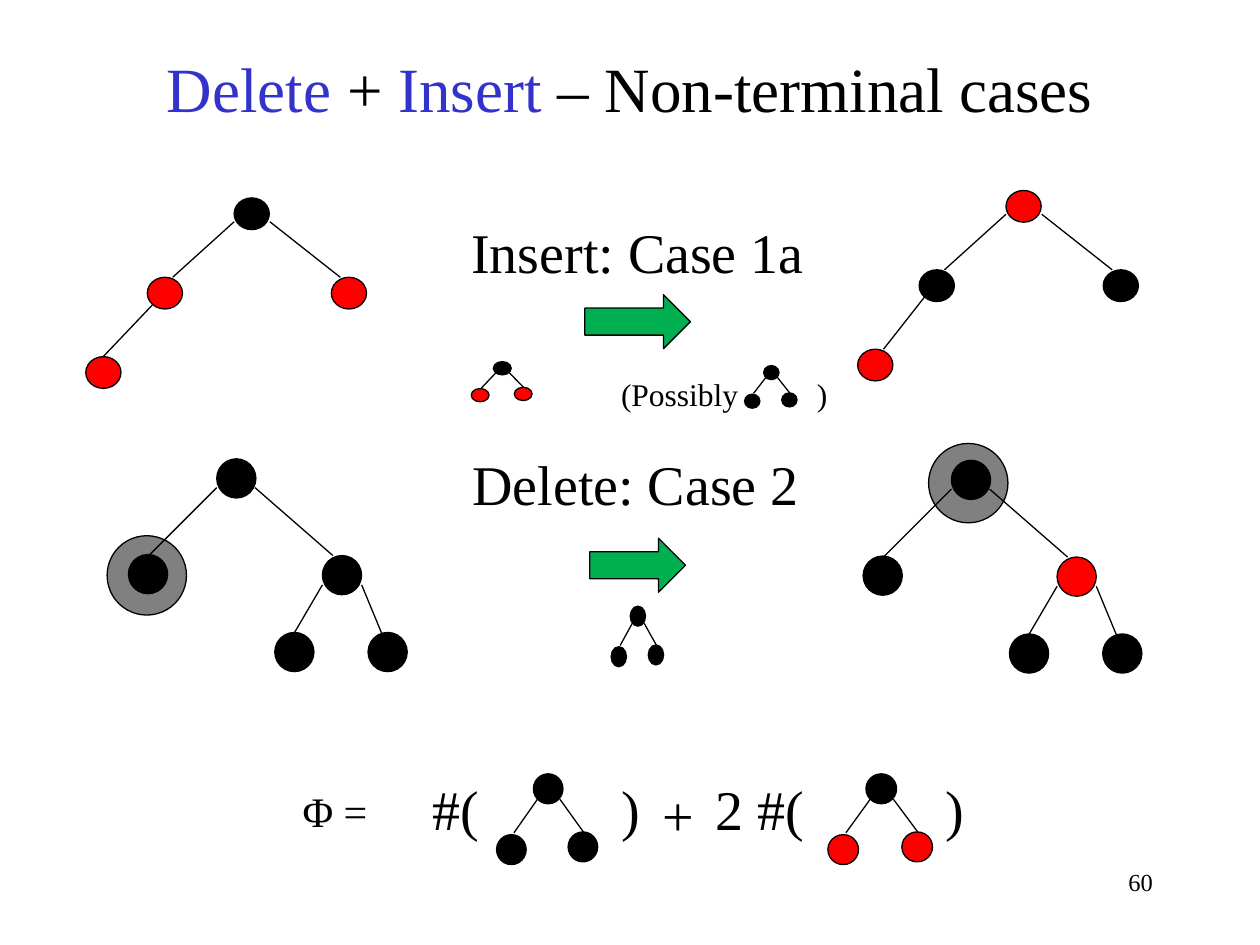
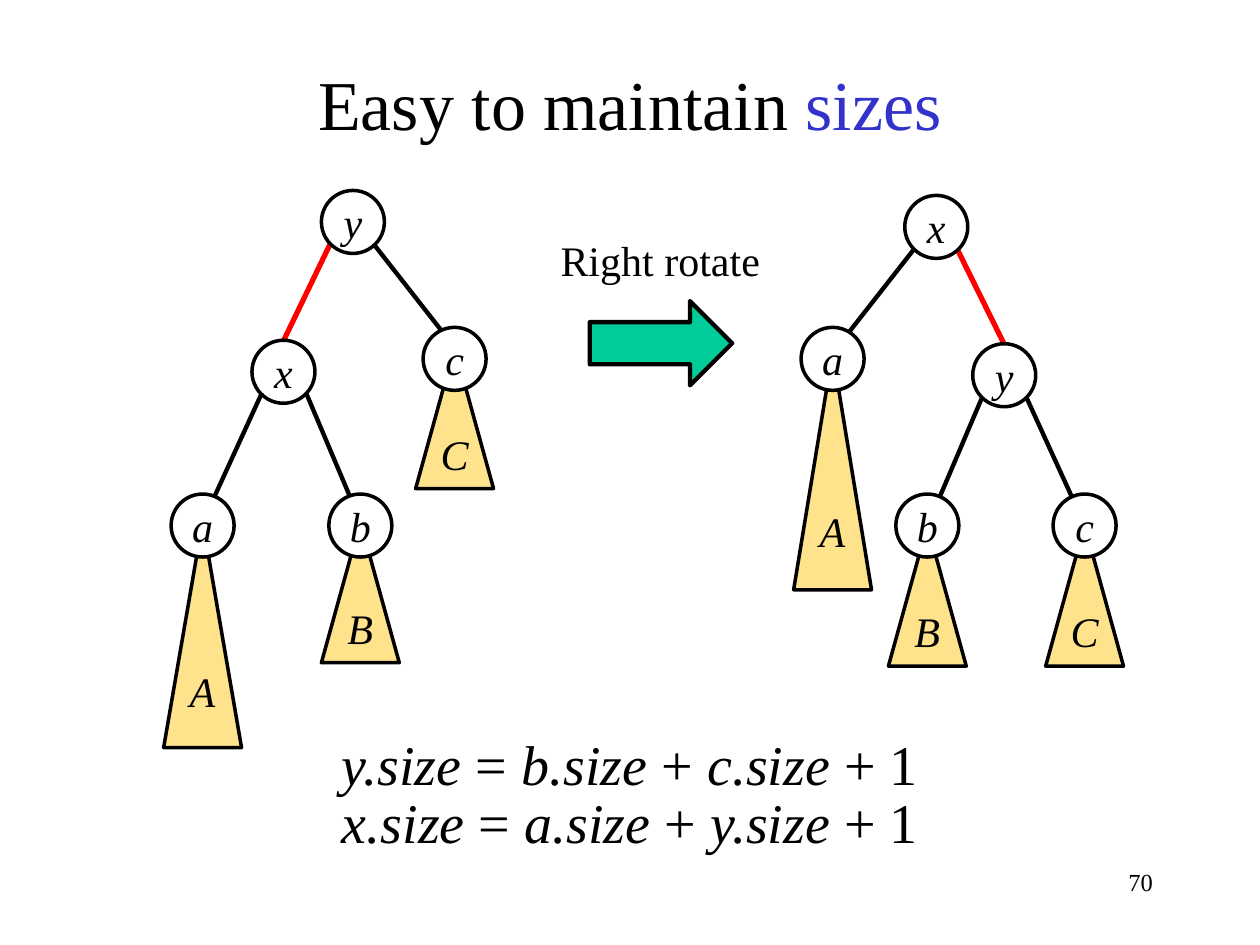
from dataclasses import dataclass

from pptx import Presentation
from pptx.dml.color import RGBColor as RGB
from pptx.enum.shapes import MSO_CONNECTOR, MSO_SHAPE
from pptx.enum.text import MSO_ANCHOR as ANCHOR, PP_ALIGN as ALIGN
from pptx.oxml.ns import qn
from pptx.util import Cm, Pt


@dataclass(frozen=True)
class Theme:
    font: str = "Times New Roman"
    black: str = "000000"
    white: str = "FFFFFF"
    red: str = "FF0000"
    blue: str = "3333CC"
    grey: str = "808080"
    green: str = "00B050"
    teal: str = "00CC99"
    amber: str = "FFC000"
    formula: int = 32
    label: int = 24
    note: int = 18
    number: int = 14
    thin: float = 0.75
    outline: float = 2
    edge: float = 2.5
    rotated: float = 3


T = Theme()
OVAL, ARROW, TRIANGLE = MSO_SHAPE.OVAL, MSO_SHAPE.RIGHT_ARROW, MSO_SHAPE.ISOSCELES_TRIANGLE
LINE = MSO_CONNECTOR.STRAIGHT


def draw(kind, box, fill=None, color=T.black, width=T.thin, alpha=None):
    """Add a shape (left, top, width, height) or a line (x1, y1, x2, y2) to the slide s."""
    box = [Cm(v) for v in box]
    if kind is LINE:
        sp = s.shapes.add_connector(kind, *box)
        sp._element.spPr.append(sp._element.makeelement(qn("a:effectLst"), {}))
    else:
        sp = s.shapes.add_shape(kind, *box)
        sp.shadow.inherit = False
        if fill:
            sp.fill.solid()
            sp.fill.fore_color.rgb = RGB.from_string(fill)
        else:
            sp.fill.background()
    if alpha:
        clr = sp._element.spPr.find(".//" + qn("a:srgbClr"))
        clr.append(clr.makeelement(qn("a:alpha"), {"val": str(alpha * 1000)}))
    sp.line.color.rgb = RGB.from_string(color)
    sp.line.width = Pt(width)
    return sp


def write(text, box=None, sp=None, size=T.formula, align=ALIGN.LEFT, anchor=ANCHOR.TOP,
          italic=False, accent=T.black, accent_italic=False, inset=None, wrap=True):
    """Write text in sp or in a new text box; parts between asterisks get the accent."""
    sp = sp or s.shapes.add_textbox(*[Cm(v) for v in box])
    tf = sp.text_frame
    tf.word_wrap, tf.vertical_anchor = wrap, anchor
    if inset is not None:
        tf.margin_left = tf.margin_top = tf.margin_right = tf.margin_bottom = Cm(inset)
    p = tf.paragraphs[0]
    p.alignment = align
    for i, part in enumerate(text.split("*")):
        if part:
            r = p.add_run()
            r.text = part
            r.font.name, r.font.size = T.font, Pt(size)
            r.font.italic = accent_italic if i % 2 else italic
            r.font.color.rgb = RGB.from_string(accent if i % 2 else T.black)


prs = Presentation()
prs.slide_width, prs.slide_height = Cm(25.4), Cm(19.05)

# Both slides: title and slide number
for title, top, height, size, number in [
    ("*Delete* + *Insert* – Non-terminal cases", 0.81, 1.9, 36, "60"),
    ("Easy to maintain *sizes*", 0.89, 2.34, 40, "70"),
]:
    s = prs.slides.add_slide(prs.slide_layouts[6])
    write(number, (18.21, 17.35, 5.28, 1.27), size=T.number, align=ALIGN.RIGHT)
    write(title, (0, top, 25.4, height), size=size, align=ALIGN.CENTER,
          anchor=ANCHOR.MIDDLE, accent=T.blue)

# Slide 1: insert and delete cases
s = prs.slides[0]

# Delete, before and after: the same tree, moved right
delete_nodes = [(4.37, 9.25), (2.59, 11.18), (6.5, 11.2), (5.54, 12.75), (7.42, 12.75)]
delete_edges = [(4.37, 9.83, 3, 11.2), (5.14, 9.83, 6.71, 11.2),
                (6.5, 11.79, 5.92, 12.78), (7.29, 11.79, 7.7, 12.78)]
for dx, dy, halo, right_child in [(0, 0, (2.16, 10.8), T.black),
                                  (14.81, 0.03, (18.72, 8.94), T.red)]:
    draw(OVAL, (*halo, 1.6, 1.6), T.grey)
    for x1, y1, x2, y2 in delete_edges:
        draw(LINE, (x1 + dx, y1 + dy, x2 + dx, y2 + dy))
    for i, (x, y) in enumerate(delete_nodes):
        draw(OVAL, (x + dx, y + dy, 0.79, 0.79), right_child if i == 2 else T.black)

# Insert, before and after: the same tree with its colours flipped
insert_nodes = [(4.72, 3.99), (2.97, 5.59), (6.68, 5.59), (1.73, 7.19)]
insert_edges = [(5.44, 4.47, 6.86, 5.59), (4.72, 4.47, 3.48, 5.59)]
for dx, dy, root, children, leaf_edge in [
    (0, 0, T.black, T.red, (3.07, 6.15, 2.08, 7.19)),
    (15.56, -0.15, T.red, T.black, (18.69, 5.92, 17.81, 7.04)),
]:
    for x1, y1, x2, y2 in insert_edges:
        draw(LINE, (x1 + dx, y1 + dy, x2 + dx, y2 + dy))
    draw(LINE, leaf_edge)
    for (x, y), fill in zip(insert_nodes, [root, children, children, T.red]):
        draw(OVAL, (x + dx, y + dy, 0.71, 0.64), fill)

# Case names and arrows
for name, box, arrow in [
    ("Insert: Case 1a", (8.59, 4.27, 8.53, 1.65), (11.79, 5.94, 2.13, 1.09)),
    ("Delete: Case 2", (8.86, 8.94, 7.92, 1.63), (11.89, 10.85, 1.93, 1.09)),
]:
    write(name, box, align=ALIGN.CENTER)
    draw(ARROW, arrow, T.green)

# Potential formula and side note
write("Φ =", (5.85, 15.72, 2.2, 1.27), size=T.label)
for text, x, y, w in [("#(", 8.46, 15.49, 1.7), (")", 12.27, 15.49, 1.7), ("+", 13.11, 15.6, 1.7),
                      ("2 #(", 14.17, 15.49, 2.74), (")", 18.82, 15.49, 1.9)]:
    write(text, (x, y, w, 1.6))
for text, x, w in [("(Possibly", 12.27, 3), (")", 16.22, 1)]:
    write(text, (x, 7.44, w, 1.02), size=T.note)

# Three-node trees, laid out as fractions of their frame
mini_nodes = [(0.36, 0), (0.7, 0.64), (0, 0.67)]
mini_edges = [(0.62, 0.28, 0.85, 0.64), (0.4, 0.28, 0.17, 0.65)]
for x, y, w, h, children in [
    (10.01, 15.6, 2.06, 1.83, T.black), (16.69, 15.6, 2.13, 1.83, T.red),
    (12.32, 12.22, 1.07, 1.22, T.black), (9.5, 7.29, 1.24, 0.81, T.red),
    (15.01, 7.37, 1.07, 0.86, T.black),
]:
    for x1, y1, x2, y2 in mini_edges:
        draw(LINE, (x + x1 * w, y + y1 * h, x + x2 * w, y + y2 * h))
    for (fx, fy), fill in zip(mini_nodes, [T.black, children, children]):
        draw(OVAL, (x + fx * w, y + fy * h, 0.29 * w, 0.33 * h), fill)

# Slide 2: right rotation
s = prs.slides[1]
centred = dict(size=T.label, align=ALIGN.CENTER, anchor=ANCHOR.MIDDLE, italic=True, wrap=False)

# Subtrees: root letter, left, root top, triangle top, triangle height
subtrees = [("a", 3.3, 9.96, 10.52, 4.55), ("b", 6.48, 9.96, 10.52, 2.84),
            ("c", 8.38, 6.6, 7.01, 2.84), ("a", 16, 6.6, 7.11, 4.78),
            ("b", 17.91, 9.96, 10.59, 2.84), ("c", 21.08, 9.96, 10.59, 2.84)]
for letter, x, _, top, height in subtrees:
    sp = draw(TRIANGLE, (x, top, 1.57, height), T.amber, width=T.outline, alpha=45)
    write(letter.upper(), sp=sp, **centred)

# Edges into the subtrees, in the same order, then the rotated edges
starts = [(5.28, 7.92), (6.17, 7.92), (7.54, 4.93), (18.42, 5.03), (19.79, 8.03), (20.7, 8.03)]
for start, (_, x, _, top, _) in zip(starts, subtrees):
    draw(LINE, (*start, x + 0.79, top), width=T.edge)
for ends in [(6.65, 4.93, 5.72, 6.86), (19.3, 5.03, 20.24, 6.93)]:
    draw(LINE, ends, color=T.red, width=T.rotated)

# Nodes
nodes = [("y", 6.48, 3.84, None), ("x", 5.08, 6.86, None),
         ("x", 18.24, 3.94, None), ("y", 19.61, 6.93, None)]
nodes += [(letter, x + 0.15, top, T.white) for letter, x, top, _, _ in subtrees]
for letter, x, y, fill in nodes:
    sp = draw(OVAL, (x, y, 1.27, 1.27), fill, width=T.outline)
    write(letter, sp=sp, inset=0, **centred)

# Rotation arrow and size equations
draw(ARROW, (11.89, 6.07, 2.87, 1.7), T.teal, width=T.edge)
write("Right rotate", (11.05, 4.6, 4.52, 1.27), size=T.label, align=ALIGN.CENTER)
for top, equation in [(14.58, "*y.size *= *b.size* + *c.size* + 1"),
                      (15.75, "*x.size *= *a.size* + *y.size* + 1")]:
    write(equation, (0, top, 25.4, 1.63), align=ALIGN.CENTER, accent_italic=True)

prs.save("out.pptx")
